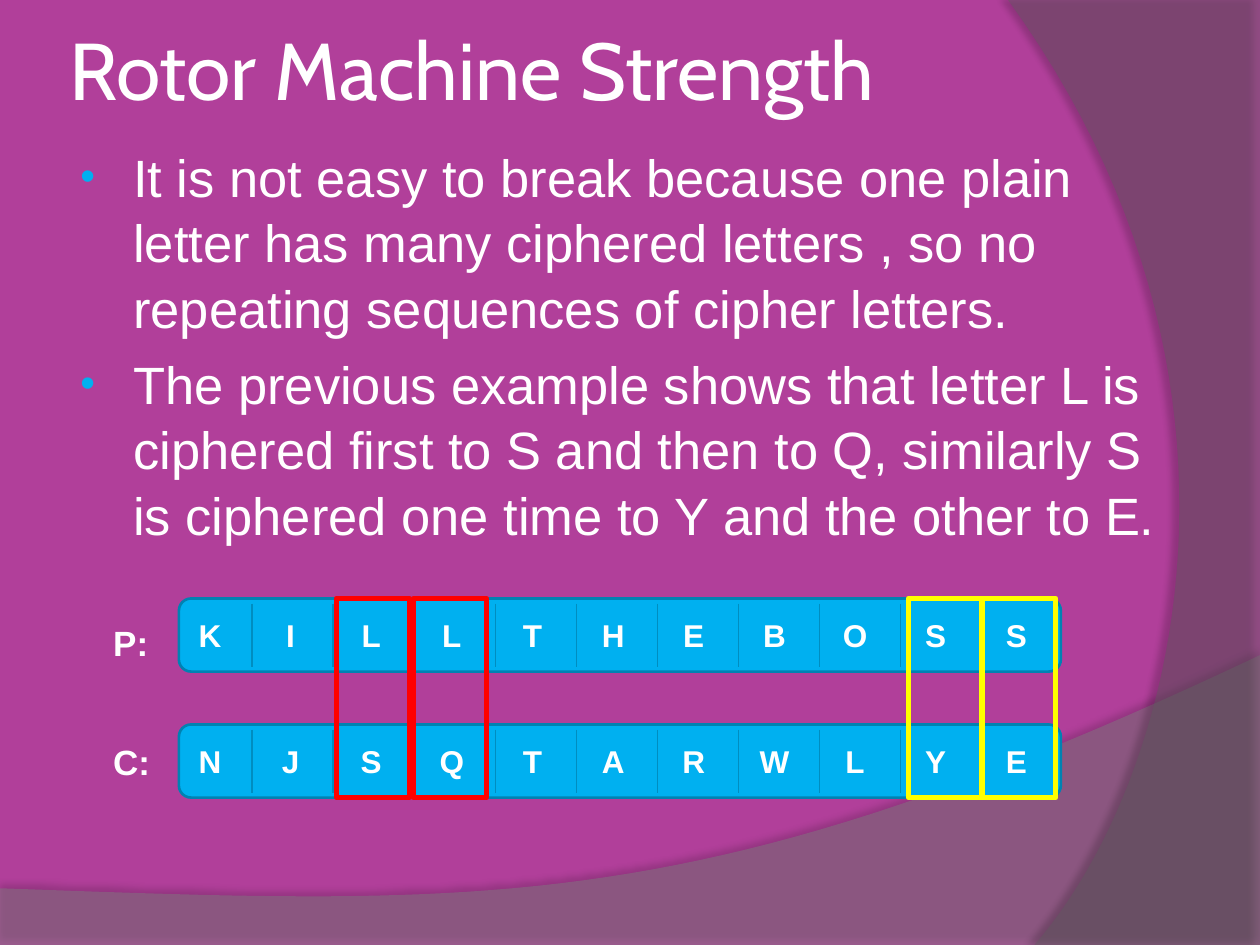
from dataclasses import dataclass

import lxml.etree
import pptx
import pptx.dml.color
import pptx.enum.shapes
import pptx.enum.text
import pptx.oxml.ns
import pptx.util
from pptx.util import Inches

SHAPES = pptx.enum.shapes.MSO_SHAPE


@dataclass(frozen=True)
class Theme:
    background: str = "B13F9A"
    text: str = "FFFFFF"
    accent: str = "00B0F0"
    bar_line: str = "0082B2"
    divider: str = "008DC0"
    low_wave: str = "7F7F7F"
    side_wave: str = "5E5E5E"
    first_pair: str = "FF0000"
    second_pair: str = "FFFF00"
    title_font: str = "Cabin"
    body_font: str = "Arial"
    title_size: int = 46
    body_size: int = 30
    label_size: int = 20
    letter_size: int = 18


THEME = Theme()
BAR_LEFT, BAR_WIDTH, BAR_HEIGHT = 1.42, 7, 0.58
PLAIN_TOP, CIPHER_TOP = 4.75, 5.75


def rgb(value):
    return pptx.dml.color.RGBColor.from_string(value)


def add_xml(parent, tag, **attributes):
    return lxml.etree.SubElement(
        parent, pptx.oxml.ns.qn(tag), {key: str(value) for key, value in attributes.items()})


def write_text(shape, paragraphs, size, font=THEME.body_font, bold=False, wrap=True,
               anchor=pptx.enum.text.MSO_ANCHOR.TOP, inset=None):
    """Fill a shape with one run per paragraph and return the paragraphs."""
    frame = shape.text_frame
    frame.word_wrap = wrap
    frame.vertical_anchor = anchor
    if inset is not None:
        frame.margin_left = frame.margin_right = Inches(inset)
        frame.margin_top = frame.margin_bottom = Inches(inset)
    for index, text in enumerate(paragraphs):
        paragraph = frame.add_paragraph() if index else frame.paragraphs[0]
        paragraph.alignment = pptx.enum.text.PP_ALIGN.LEFT
        run = paragraph.add_run()
        run.text = text
        run.font.name = font
        run.font.size = pptx.util.Pt(size)
        run.font.bold = bold
        run.font.color.rgb = rgb(THEME.text)
    return frame.paragraphs


def add_text(slide, left, top, width, height, paragraphs, **text_format):
    box = slide.shapes.add_textbox(Inches(left), Inches(top), Inches(width), Inches(height))
    return write_text(box, paragraphs, **text_format)


def add_bullets(slide, left, top, width, height, paragraphs):
    for paragraph in add_text(slide, left, top, width, height, paragraphs,
                              size=THEME.body_size):
        paragraph.line_spacing = 1.04
        paragraph.space_before = pptx.util.Pt(6)
        properties = paragraph._p.get_or_add_pPr()
        properties.set("marL", str(Inches(0.46)))
        properties.set("indent", str(Inches(-0.42)))
        add_xml(add_xml(properties, "a:buClr"), "a:srgbClr", val=THEME.accent)
        add_xml(properties, "a:buSzPct", val=80000)
        add_xml(properties, "a:buFont", typeface=THEME.body_font)
        add_xml(properties, "a:buChar", char="•")


def add_box(slide, kind, left, top, width, height, line, line_width, fill=None):
    shape = slide.shapes.add_shape(
        kind, Inches(left), Inches(top), Inches(width), Inches(height))
    shape.shadow.inherit = False
    if fill:
        shape.fill.solid()
        shape.fill.fore_color.rgb = rgb(fill)
    else:
        shape.fill.background()
    shape.line.color.rgb = rgb(line)
    shape.line.width = pptx.util.Pt(line_width)
    return shape


def add_divider(slide, x, top, bottom):
    line = slide.shapes.add_connector(
        pptx.enum.shapes.MSO_CONNECTOR.STRAIGHT,
        Inches(x), Inches(top), Inches(x), Inches(bottom))
    line.line.color.rgb = rgb(THEME.divider)
    line.line.width = pptx.util.Pt(0.75)
    add_xml(line._element.spPr, "a:effectLst")


def add_letter_bar(slide, top, letters):
    """Draw a bar of letters, each centred on its own tab stop."""
    bar = add_box(slide, SHAPES.ROUNDED_RECTANGLE, BAR_LEFT, top, BAR_WIDTH, BAR_HEIGHT,
                  THEME.bar_line, 1.5, THEME.accent)
    text = "".join("\t" + letter for letter in letters)
    paragraph = write_text(bar, [text], THEME.letter_size, bold=True,
                           anchor=pptx.enum.text.MSO_ANCHOR.MIDDLE)[0]
    tabs = add_xml(paragraph._p.get_or_add_pPr(), "a:tabLst")
    for index in range(len(letters)):
        add_xml(tabs, "a:tab", pos=Inches(0.12 + 0.64 * index), algn="ctr")
    first, last, gaps = 2, 7.79, len(letters) - 2
    for index in range(gaps + 1):
        x = first + (last - first) * index / gaps
        add_divider(slide, x, top + 0.04, top + 0.54)


def curve(start, control_1, control_2, end, steps=48):
    """Return points along a cubic curve."""
    points = []
    for step in range(steps + 1):
        t = step / steps
        weights = ((1 - t) ** 3, 3 * t * (1 - t) ** 2, 3 * t * t * (1 - t), t ** 3)
        corners = (start, control_1, control_2, end)
        points.append(tuple(sum(weight * corner[axis] for weight, corner in
                                zip(weights, corners)) for axis in (0, 1)))
    return points


def add_wave(slide, points, fill, opacity, shadow_opacity, distance, direction):
    """Draw a translucent outline with a soft shadow; distance is in points."""
    builder = slide.shapes.build_freeform(
        Inches(points[0][0]), Inches(points[0][1]))
    builder.add_line_segments([(Inches(x), Inches(y)) for x, y in points[1:]], close=True)
    wave = builder.convert_to_shape()
    wave.line.fill.background()
    wave.fill.solid()
    wave.fill.fore_color.rgb = rgb(fill)
    properties = wave._element.spPr
    color = properties.find(".//" + pptx.oxml.ns.qn("a:srgbClr"))
    add_xml(color, "a:alpha", val=opacity * 1000)
    shadow = add_xml(add_xml(properties, "a:effectLst"), "a:outerShdw",
                     blurRad=pptx.util.Pt(4), dist=pptx.util.Pt(distance),
                     dir=direction * 60000, algn="ctr", rotWithShape=0)
    shadow_color = add_xml(shadow, "a:srgbClr", val="000000")
    add_xml(shadow_color, "a:alpha", val=shadow_opacity * 1000)


def main():
    presentation = pptx.Presentation()
    presentation.slide_width, presentation.slide_height = Inches(10), Inches(7.5)
    slide = presentation.slides.add_slide(presentation.slide_layouts[6])
    slide.background.fill.solid()
    slide.background.fill.fore_color.rgb = rgb(THEME.background)

    low_edge = curve((10, 5.2), (5.59, 7.29), (3.91, 7.19), (0, 7.05))
    add_wave(slide, [(0, 7.5), (10, 7.5)] + low_edge, THEME.low_wave, 45, 35, 3.5, 270)
    side_edge = curve((8.21, 7.5), (9.35, 6.19), (10.18, 3), (8, 0))
    add_wave(slide, [(10, 0), (10, 7.5)] + side_edge, THEME.side_wave, 40, 45, 4, 180)

    add_text(slide, 0.5, 0, 8.17, 1.08, ["Rotor Machine Strength"],
             size=THEME.title_size, font=THEME.title_font, inset=0.05,
             anchor=pptx.enum.text.MSO_ANCHOR.MIDDLE)
    add_bullets(slide, 0.5, 1.08, 9, 5.62, [
        "It is not easy to break because one plain letter has many ciphered letters , "
        "so no repeating sequences of cipher letters.",
        "The previous example shows that letter L is ciphered first to S and then to Q, "
        "similarly S is ciphered one time to Y and the other to E.",
    ])

    add_letter_bar(slide, PLAIN_TOP, "KILLTHEBOSS")
    add_letter_bar(slide, CIPHER_TOP, "NJSQTARWLYE")
    frame_height = CIPHER_TOP + BAR_HEIGHT - PLAIN_TOP
    for left, color in ((2.67, THEME.first_pair), (3.28, THEME.first_pair),
                        (7.21, THEME.second_pair), (7.8, THEME.second_pair)):
        add_box(slide, SHAPES.RECTANGLE, left, PLAIN_TOP, 0.58, frame_height, color, 3)
    for label, top in (("P:", 4.88), ("C:", 5.83)):
        add_text(slide, 0.8, top, 0.5, 0.44, [label], size=THEME.label_size,
                 bold=True, wrap=False)

    presentation.save("out.pptx")


if __name__ == "__main__":
    main()
